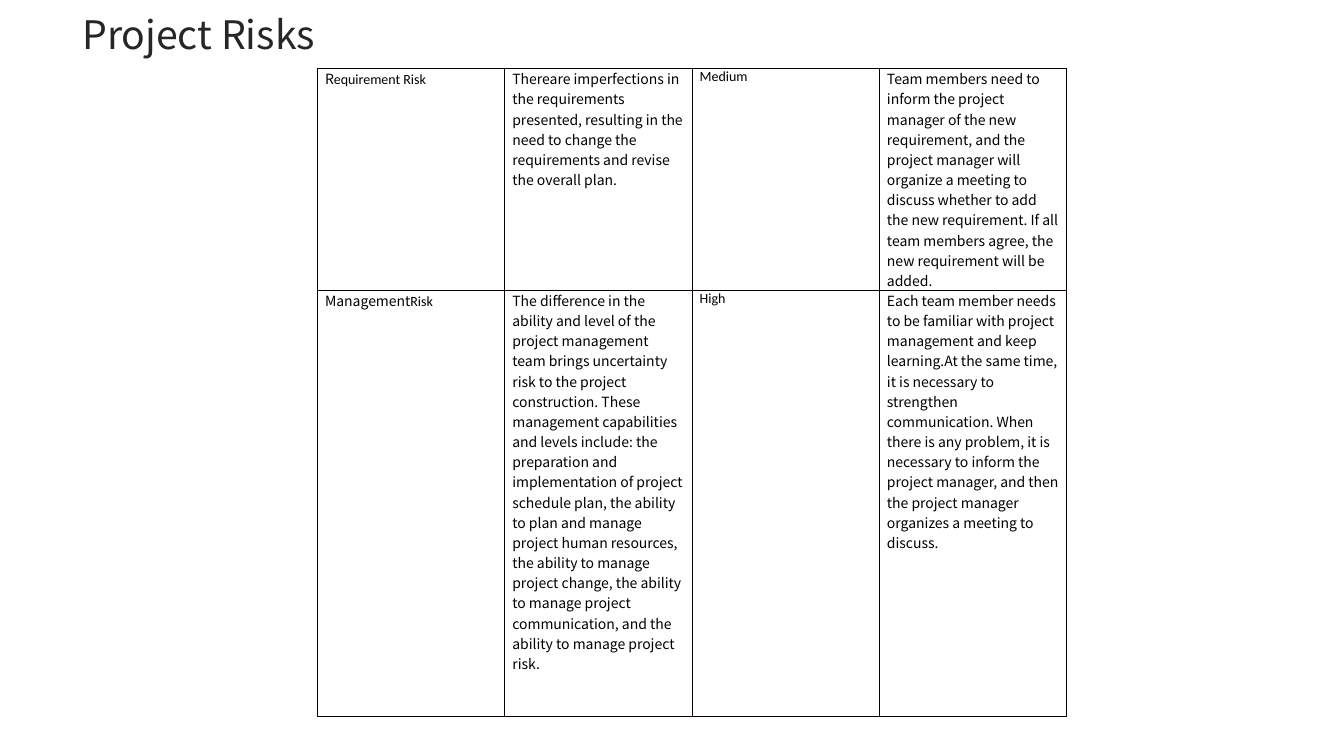
from lxml import etree
from pptx import Presentation
from pptx.dml.color import RGBColor
from pptx.enum import text
from pptx.oxml import ns
from pptx.util import Pt

COLORS = {"title": "262626", "body": "000000", "border": "080000"}
NOTO, CALIBRI = "Noto Sans CJK SC", "Calibri"

# Each cell is a list of (wording, font) runs
RISKS = [
    [
        [("R", NOTO), ("equirement Risk", CALIBRI)],
        [("Thereare imperfections in the requirements presented, resulting in "
          "the need to change the requirements and revise the overall plan.", NOTO)],
        [("Medium", CALIBRI)],
        [("Team members need to inform the project manager of the new "
          "requirement, and the project manager will organize a meeting to "
          "discuss whether to add the new requirement. If all team members "
          "agree, the new requirement will be added.", NOTO)],
    ],
    [
        [("Management", NOTO), ("Risk", CALIBRI)],
        [("The difference in the ability and level of the project management "
          "team brings uncertainty risk to the project construction. These "
          "management capabilities and levels include: the preparation and "
          "implementation of project schedule plan, the ability to plan and "
          "manage project human resources, the ability to manage project "
          "change, the ability to manage project communication, and the "
          "ability to manage project risk.", NOTO)],
        [("High", CALIBRI)],
        [("Each team member needs to be familiar with project management and "
          "keep learning.At the same time, it is necessary to strengthen "
          "communication. When there is any problem, it is necessary to inform "
          "the project manager, and then the project manager organizes a "
          "meeting to discuss.", NOTO)],
    ],
]
COLUMN_WIDTH = 133.8
ROW_HEIGHTS = [158.4, 304.6]


def style_font(font, size, color):
    font.size = Pt(size)
    font.color.rgb = RGBColor.from_string(COLORS[color])


def set_title(s, wording):
    sp = s.shapes.title
    sp.left, sp.top, sp.width, sp.height = Pt(0), Pt(7.2), Pt(283.7), Pt(41)
    tf = sp.text_frame
    tf.margin_top = tf.margin_bottom = 0
    tf.word_wrap = True
    tf.vertical_anchor = text.MSO_ANCHOR.TOP
    tf.auto_size = text.MSO_AUTO_SIZE.SHAPE_TO_FIT_TEXT
    p = tf.paragraphs[0]
    p.text = wording
    p.alignment = text.PP_ALIGN.CENTER
    p.line_spacing = 1.0
    p.font.name = NOTO
    style_font(p.font, 28, "title")


def add_borders(cell):
    tcPr = cell._tc.get_or_add_tcPr()
    for i, side in enumerate(("lnL", "lnR", "lnT", "lnB")):
        ln = etree.Element(ns.qn(f"a:{side}"), w=str(Pt(1)))
        fill = etree.SubElement(ln, ns.qn("a:solidFill"))
        etree.SubElement(fill, ns.qn("a:srgbClr"), val=COLORS["border"])
        tcPr.insert(i, ln)


def fill_cell(cell, runs):
    cell.margin_left = cell.margin_right = Pt(5.4)
    cell.margin_top = cell.margin_bottom = 0
    cell.fill.background()
    add_borders(cell)
    p = cell.text_frame.paragraphs[0]
    style_font(p.font, 10, "body")
    if len(runs) == 1:
        p.font.name = runs[0][1]
    for wording, font_name in runs:
        r = p.add_run()
        r.text = wording
        if len(runs) > 1:
            r.font.name = font_name


def add_risk_table(s):
    columns = len(RISKS[0])
    table = s.shapes.add_table(
        len(RISKS), columns, Pt(226.8), Pt(49),
        Pt(columns * COLUMN_WIDTH), Pt(sum(ROW_HEIGHTS))).table
    table.first_row = table.horz_banding = False
    for column in table.columns:
        column.width = Pt(COLUMN_WIDTH)
    for row, height, risk in zip(table.rows, ROW_HEIGHTS, RISKS):
        row.height = Pt(height)
        for cell, runs in zip(row.cells, risk):
            fill_cell(cell, runs)


def main():
    prs = Presentation()
    prs.slide_width, prs.slide_height = Pt(960), Pt(540)
    s = prs.slides.add_slide(prs.slide_layouts[5])
    set_title(s, "Project Risks")
    add_risk_table(s)
    prs.save("out.pptx")


if __name__ == "__main__":
    main()
